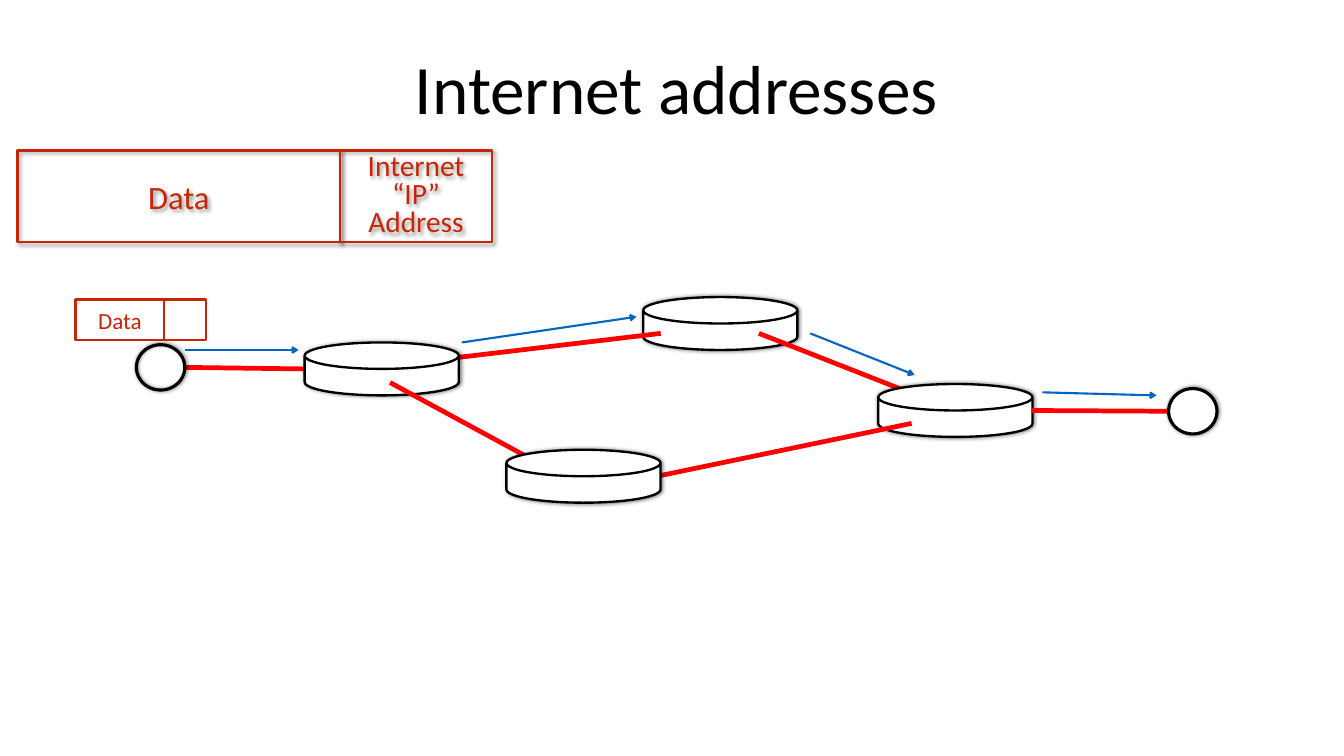
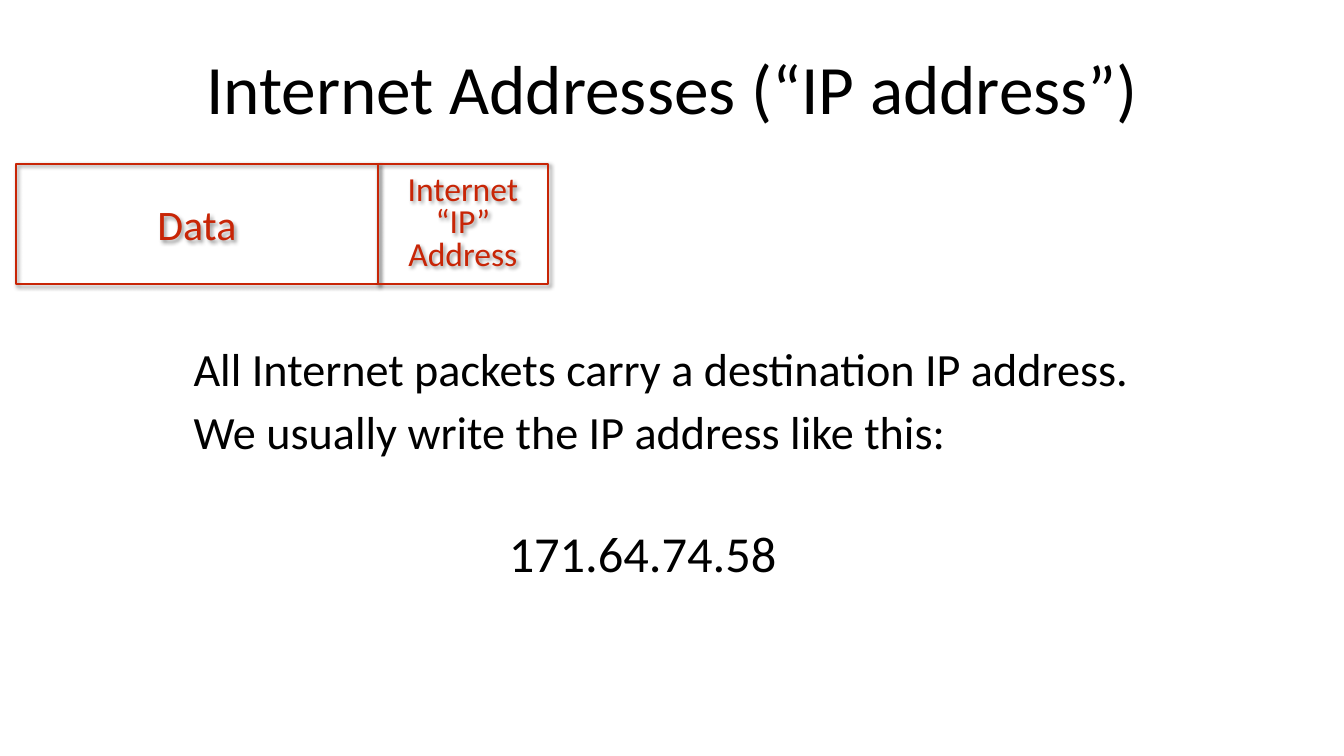
from lxml.etree import SubElement
from pptx import Presentation
from pptx.dml.color import RGBColor
from pptx.enum.shapes import MSO_CONNECTOR as Connector, MSO_SHAPE as Shape
from pptx.enum.text import MSO_ANCHOR as Anchor, MSO_AUTO_SIZE as AutoSize, PP_ALIGN as Align
from pptx.oxml.ns import qn
from pptx.util import Inches, Pt

COLORS = {"ink": "000000", "paper": "FFFFFF", "packet": "C82506", "link": "FF0000", "route": "0365C0"}
FONT = "Calibri"
# opacity %, blur pt, distance pt, direction degrees
PACKET_SHADOW = (40, 4, 3, 45)
NODE_SHADOW = (50, 4, 1, 0)
TITLE_ONLY, TITLE_AND_BODY = 5, 1
ADDRESS_FIELD = ["Internet “IP”", "Address"]
DATA_SHARE = 0.68
ROUTER_SIZE = (11.47, 7)
HOST_SIZE = (3.6, 6)


def color(name):
    return RGBColor.from_string(COLORS[name])


class SlideBuilder:
    """Draws on a grid of 100 columns and 100 rows laid over the slide."""

    def __init__(self):
        self.deck = Presentation()
        self.deck.slide_width, self.deck.slide_height = Inches(17.78), Inches(10)
        self.page = None

    def place(self, left, top, width, height):
        column, row = self.deck.slide_width / 100, self.deck.slide_height / 100
        return [int(left * column), int(top * row), int(width * column), int(height * row)]

    def add_span(self, para, text, size, tint="ink"):
        span = para.add_run()
        span.text = text
        span.font.name, span.font.size = FONT, Pt(size)
        span.font.color.rgb = color(tint)

    def fit_placeholder(self, box, area, margin):
        box.left, box.top, box.width, box.height = self.place(*area)
        frame = box.text_frame
        frame.word_wrap, frame.auto_size = True, AutoSize.NONE
        frame.vertical_anchor = Anchor.MIDDLE
        frame.margin_left = frame.margin_right = Inches(margin)
        frame.margin_top = frame.margin_bottom = Inches(margin)
        return frame

    def new_page(self, layout, title, left, width):
        self.page = self.deck.slides.add_slide(self.deck.slide_layouts[layout])
        frame = self.fit_placeholder(self.page.shapes.title, (left, 2.6, width, 17.8), 0.06)
        para = frame.paragraphs[0]
        para.alignment = Align.CENTER
        self.add_span(para, title, 66)

    def body(self, area, lines):
        """Each line is (text, size, indent in inches, space before in points)."""
        frame = self.fit_placeholder(self.page.placeholders[1], area, 0)
        for index, (text, size, indent, space) in enumerate(lines):
            para = frame.add_paragraph() if index else frame.paragraphs[0]
            properties = para._p.get_or_add_pPr()
            properties.set("marL", str(Inches(indent)))
            properties.set("indent", "0")
            SubElement(properties, qn("a:buNone"))
            para.space_before = Pt(space)
            self.add_span(para, text, size)

    def shape(self, kind, area, line, width, fill=None, shadow=None):
        shape = self.page.shapes.add_shape(kind, *self.place(*area))
        if fill:
            shape.fill.solid()
            shape.fill.fore_color.rgb = color(fill)
        else:
            shape.fill.background()
        shape.line.color.rgb, shape.line.width = color(line), Pt(width)
        shape.shadow.inherit = False
        if shadow:
            opacity, blur, distance, direction = shadow
            effects = shape._element.spPr.find(qn("a:effectLst"))
            outer = SubElement(effects, qn("a:outerShdw"), blurRad=str(Pt(blur)), dist=str(Pt(distance)),
                               dir=str(direction * 60000), rotWithShape="0")
            tint = SubElement(outer, qn("a:srgbClr"), val=COLORS["ink"])
            SubElement(tint, qn("a:alpha"), val=str(opacity * 1000))
        return shape

    def packet(self, area, data_size, address=(), address_size=0, fill=None, shadow=None):
        left, top, width, height = area
        data_width = width * DATA_SHARE
        fields = [(left, data_width, ["Data"], data_size, None),
                  (left + data_width, width - data_width, address, address_size, 0.8)]
        for field_left, field_width, lines, size, spacing in fields:
            box = self.shape(Shape.RECTANGLE, (field_left, top, field_width, height),
                             "packet", 2.25, fill, shadow)
            frame = box.text_frame
            frame.word_wrap, frame.vertical_anchor = True, Anchor.MIDDLE
            for index, text in enumerate(lines):
                para = frame.add_paragraph() if index else frame.paragraphs[0]
                para.alignment, para.line_spacing = Align.CENTER, spacing
                self.add_span(para, text, size, "packet")

    def router(self, left, top):
        can = self.shape(Shape.CAN, (left, top, *ROUTER_SIZE), "ink", 2.25, "paper", NODE_SHADOW)
        can.adjustments[0] = 0.5

    def host(self, left, top, fill=None):
        self.shape(Shape.OVAL, (left, top, *HOST_SIZE), "ink", 3, fill, NODE_SHADOW)

    def line(self, start_x, start_y, end_x, end_y, tint, width, arrow=False):
        ends = self.place(start_x, start_y, end_x, end_y)
        line = self.page.shapes.add_connector(Connector.STRAIGHT, *ends)
        line.line.color.rgb, line.line.width = color(tint), Pt(width)
        properties = line._element.spPr
        if arrow:
            SubElement(properties.find(qn("a:ln")), qn("a:tailEnd"), type="arrow")
        SubElement(properties, qn("a:effectLst"))

    def link(self, *ends):
        self.line(*ends, "link", 4.5)

    def route(self, *ends):
        self.line(*ends, "route", 2, arrow=True)


def network_slide(builder):
    builder.new_page(TITLE_ONLY, "Internet addresses", 5.62, 89.43)
    builder.packet((1.29, 19.9, 35.32, 12.1), 31, ADDRESS_FIELD, 28, shadow=PACKET_SHADOW)
    for hop in [(13.78, 46.3, 22.22, 46.3), (34.36, 45.3, 47.36, 41.9),
                (60.29, 44.1, 68.05, 49.6), (77.56, 51.9, 86.05, 52.3)]:
        builder.route(*hop)

    # Routers cover the links drawn before them
    builder.router(47.86, 39.3)
    builder.link(13.78, 48.6, 22.67, 48.8)
    builder.link(31.61, 47.8, 49.16, 44.1)
    builder.router(22.67, 45.3)
    builder.link(29.02, 50.6, 41.79, 62.9)
    builder.link(56.47, 44.1, 71.09, 54.3)
    builder.router(65.35, 50.8)
    builder.link(49.16, 62.9, 67.83, 56)
    builder.router(37.68, 59.5)
    builder.link(86.95, 54.4, 76.77, 54.3)
    builder.host(86.95, 51.4, "paper")
    builder.host(10.15, 45.6)
    builder.packet((5.62, 39.6, 9.7, 5.4), 22, fill="paper")


def address_slide(builder):
    builder.new_page(TITLE_AND_BODY, "Internet Addresses (“IP address”)", 9.79, 80.48)
    builder.body((12.43, 46.5, 87.5, 29.1), [
        ("All Internet packets carry a destination IP address.", 44, 0.35, 0),
        ("We usually write the IP address like this:", 44, 0.35, 7),
        ("171.64.74.58", 48, 4.52, 61),
    ])
    builder.packet((1.18, 21.7, 39.6, 15.9), 40, ADDRESS_FIELD, 32, shadow=PACKET_SHADOW)


def main():
    builder = SlideBuilder()
    network_slide(builder)
    address_slide(builder)
    builder.deck.save("out.pptx")


if __name__ == "__main__":
    main()
